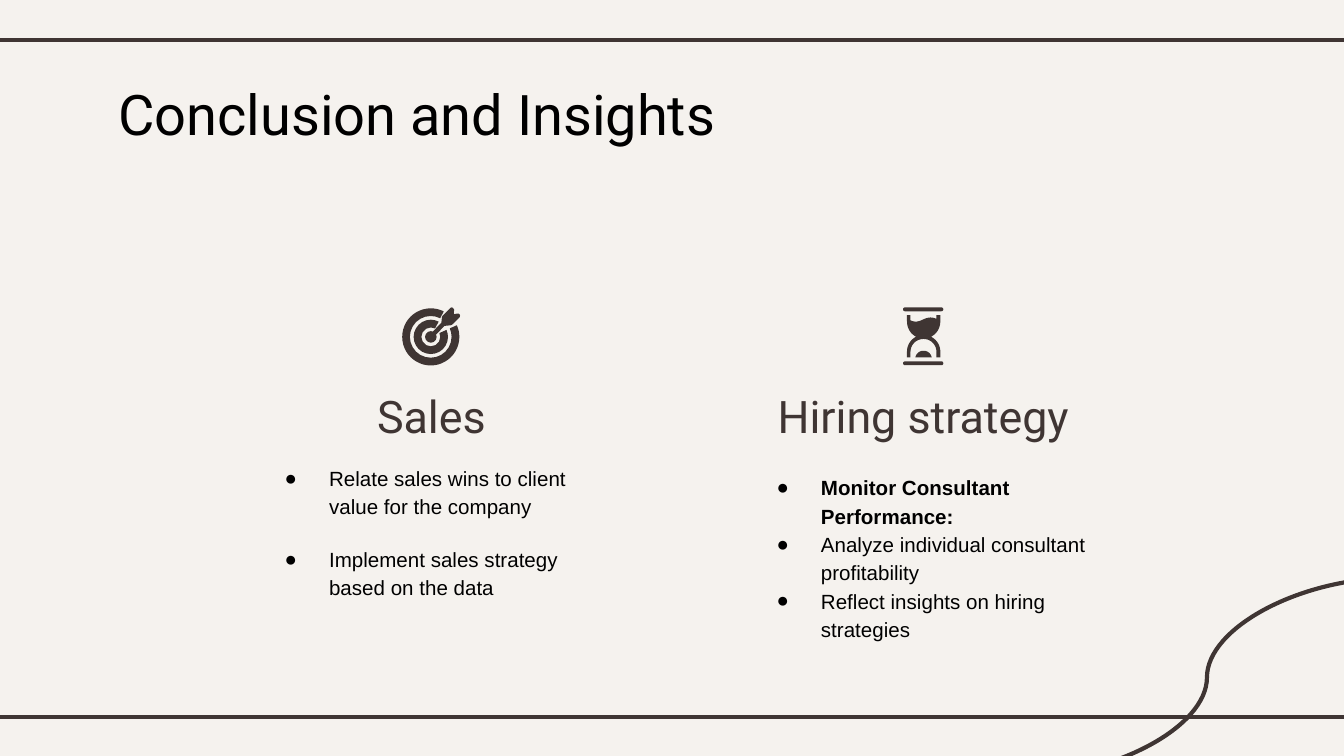
from lxml.etree import SubElement
from pptx import Presentation
from pptx.dml.color import RGBColor
from pptx.enum.shapes import MSO_CONNECTOR, MSO_SHAPE
from pptx.enum.text import MSO_ANCHOR, MSO_AUTO_SIZE, PP_ALIGN
from pptx.oxml.ns import qn
from pptx.util import Pt

CREAM = RGBColor(0xF5, 0xF2, 0xEE)
BROWN = RGBColor(0x3F, 0x35, 0x33)
BLACK = RGBColor(0x00, 0x00, 0x00)
CURVE_STEPS = 10

deck = Presentation()
deck.slide_width, deck.slide_height = Pt(720), Pt(405)
page = deck.slides.add_slide(deck.slide_layouts[5])
page.background.fill.solid()
page.background.fill.fore_color.rgb = CREAM


def set_text_frame(frame):
    frame.word_wrap = True
    frame.auto_size = MSO_AUTO_SIZE.NONE
    frame.vertical_anchor = MSO_ANCHOR.TOP
    frame.margin_left = frame.margin_right = Pt(7.2)
    frame.margin_top = frame.margin_bottom = Pt(7.2)


def trace_outline(segments):
    """Vertices in EMU; a segment is a point, or three points of a Bezier curve."""
    points = [segments[0]]
    for segment in segments[1:]:
        if len(segment) == 2:
            points.append(segment)
            continue
        x0, y0 = points[-1]
        x1, y1, x2, y2, x3, y3 = segment
        for step in range(1, CURVE_STEPS + 1):
            t = step / CURVE_STEPS
            a, b, c, d = (1 - t)**3, 3 * t * (1 - t)**2, 3 * t**2 * (1 - t), t**3
            points.append((a * x0 + b * x1 + c * x2 + d * x3,
                           a * y0 + b * y1 + c * y2 + d * y3))
    return [(Pt(x), Pt(y)) for x, y in points]


# Frame lines and corner curve
for kind, x1, y1, x2, y2 in [
    (MSO_CONNECTOR.STRAIGHT, -6, 21.4, 726, 21.4),
    (MSO_CONNECTOR.STRAIGHT, -6, 384, 726, 384),
    (MSO_CONNECTOR.CURVE, 746.9, 309.6, 546.3, 416.2),
]:
    line = page.shapes.add_connector(kind, Pt(x1), Pt(y1), Pt(x2), Pt(y2))
    line.line.color.rgb = BROWN
    line.line.width = Pt(2.25)
    SubElement(line._element.spPr, qn("a:effectLst"))

# Title
title = page.shapes.title
title.left, title.top, title.width, title.height = Pt(56.2), Pt(35.3), Pt(498.2), Pt(45.4)
set_text_frame(title.text_frame)
para = title.text_frame.paragraphs[0]
para.alignment = PP_ALIGN.LEFT
span = para.add_run()
span.text = "Conclusion and Insights"
span.font.name, span.font.size = "Roboto", Pt(30)
span.font.color.rgb = BLACK

# Columns: left, heading, top of list, gap between items, items with bold flag
columns = [
    (133.2, "Sales", 240.5, 13, [
        ("Relate sales wins to client value for the company", False),
        ("Implement sales strategy based on the data", False)]),
    (396.7, "Hiring strategy", 245.5, 0, [
        ("Monitor Consultant Performance:", True),
        ("Analyze individual consultant profitability", False),
        ("Reflect insights on hiring strategies", False)]),
]
for left, heading, list_top, gap, items in columns:
    box = page.shapes.add_textbox(Pt(left), Pt(201), Pt(195.8), Pt(39.6))
    set_text_frame(box.text_frame)
    para = box.text_frame.paragraphs[0]
    para.alignment = PP_ALIGN.CENTER
    span = para.add_run()
    span.text = heading
    span.font.name, span.font.size = "Roboto", Pt(24)
    span.font.color.rgb = BROWN

    box = page.shapes.add_textbox(Pt(left), Pt(list_top), Pt(195.8), Pt(71.3))
    set_text_frame(box.text_frame)
    for index, (words, bold) in enumerate(items):
        para = box.text_frame.paragraphs[0] if index == 0 else box.text_frame.add_paragraph()
        para.line_spacing = 1.15
        if index:
            para.space_before = Pt(gap)
        properties = para._p.get_or_add_pPr()
        properties.set("marL", str(Pt(36)))
        properties.set("indent", str(Pt(-23.8)))
        bullet_color = SubElement(properties, qn("a:buClr"))
        SubElement(bullet_color, qn("a:srgbClr"), val=str(BLACK))
        SubElement(properties, qn("a:buFont"), typeface="Arial")
        SubElement(properties, qn("a:buChar"), char="●")
        span = para.add_run()
        span.text = words
        span.font.name, span.font.size, span.font.bold = "Arial", Pt(11), bold
        span.font.color.rgb = BLACK

icon_parts = []

# Target: rings open towards the dart, and the bullseye
for radius, thickness in [(15.3, 0.135), (9.2, 0.225)]:
    ring = page.shapes.add_shape(MSO_SHAPE.BLOCK_ARC, Pt(230.8 - radius), Pt(180.5 - radius),
                                 Pt(2 * radius), Pt(2 * radius))
    # Angles are stored in 60000ths of a degree, adjustments in 100000ths
    ring.adjustments[0] = 336 * 0.6
    ring.adjustments[1] = 297 * 0.6
    ring.adjustments[2] = thickness
    icon_parts.append(ring)
icon_parts.append(page.shapes.add_shape(
    MSO_SHAPE.OVAL, Pt(227.7), Pt(177.4), Pt(6.2), Pt(6.2)))

# Hourglass bars
for top in (164.7, 193.6):
    bar = page.shapes.add_shape(MSO_SHAPE.ROUNDED_RECTANGLE, Pt(483.8), Pt(top), Pt(21.6), Pt(2.1))
    bar.adjustments[0] = 0.5
    icon_parts.append(bar)

dart = [
    (242.6, 164.9), (242.2, 164.6, 241.6, 164.7, 241.2, 165.1), (237.4, 168.9),
    (237.1, 169.2, 236.9, 169.6, 236.8, 170), (236.5, 173), (231.8, 177.7),
    (231, 180.3), (233.5, 179.4), (238.2, 174.6), (241.3, 174.3),
    (241.7, 174.2, 242.2, 174, 242.5, 173.7), (246.2, 170),
    (246.8, 169.2, 246.4, 168, 245.4, 168), (243.2, 168.3), (243.3, 165.8),
]
glass = [
    (501.7, 168.8), (501.7, 170.8), (500.6, 170.3, 499.4, 170.1, 498.6, 170.1),
    (496.8, 170.1, 495.4, 170.8, 494, 171.4), (493, 171.9, 491.8, 172.3, 490.6, 172.3),
    (489.6, 172.3, 488.6, 172, 487.8, 171.6), (487.8, 168.8), (485.9, 168.8),
    (485.9, 172), (485.9, 175.8, 487.8, 178.9, 490.8, 180.4),
    (487.8, 181.9, 485.9, 185, 485.9, 188.4), (485.9, 191.5), (487.8, 191.5),
    (487.8, 188.4), (487.8, 184.6, 490.9, 181.6, 494.8, 181.6),
    (498.6, 181.6, 501.7, 184.6, 501.7, 188.4), (501.7, 191.5), (503.8, 191.5),
    (503.8, 188.4), (503.8, 185, 501.8, 181.9, 498.8, 180.4),
    (501.8, 178.9, 503.8, 175.8, 503.8, 172), (503.8, 168.8),
]
sand = [
    (494.8, 187.9), (492.6, 187.9, 490.8, 189.4, 490.4, 191.5), (499.2, 191.5),
    (498.8, 189.4, 497, 187.9, 494.8, 187.9),
]
for segments in (dart, glass, sand):
    start, *rest = trace_outline(segments)
    builder = page.shapes.build_freeform(*start)
    builder.add_line_segments(rest, close=True)
    icon_parts.append(builder.convert_to_shape())

for part in icon_parts:
    part.shadow.inherit = False
    part.fill.solid()
    part.fill.fore_color.rgb = BROWN
    part.line.fill.background()

deck.save("out.pptx")
